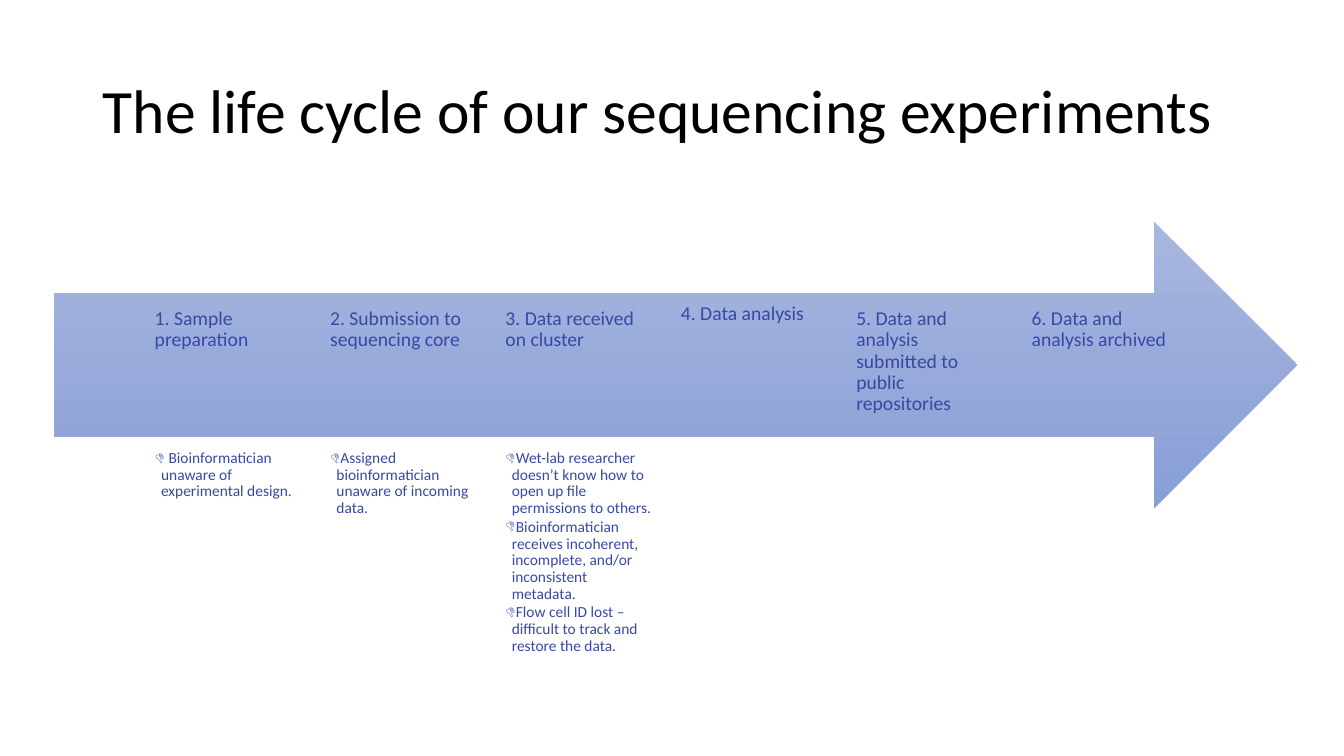
"""Build the slide on the life cycle of sequencing experiments."""
from dataclasses import dataclass

from lxml import etree
from pptx import Presentation, util as u
from pptx.dml import color
from pptx.enum import shapes, text
from pptx.oxml import ns


@dataclass(frozen=True)
class Theme:
    font: str = "Calibri"
    title_color: str = "000000"
    text_color: str = "3848A3"
    arrow_top: str = "A8B7DF"
    arrow_bottom: str = "889ED7"
    title_size: float = 44
    step_size: float = 14
    issue_size: float = 11
    line_spacing: float = 0.9
    step_leading: float = 15.2
    bullet: str = "👎"


class Deck:
    def __init__(self, slide, theme):
        self.slide, self.theme = slide, theme

    def textbox(self, box, paragraphs, size, rgb, insets=(0, 0), after=0,
                anchor=text.MSO_ANCHOR.TOP, bullets=False, leading=None):
        sp = self.slide.shapes.add_textbox(*map(u.Cm, box))
        tf = sp.text_frame
        tf.word_wrap = True
        tf.vertical_anchor = anchor
        tf.margin_left = tf.margin_right = u.Cm(insets[0])
        tf.margin_top = tf.margin_bottom = u.Cm(insets[1])
        for i, words in enumerate(paragraphs):
            p = tf.add_paragraph() if i else tf.paragraphs[0]
            p.line_spacing = u.Pt(leading) if leading else self.theme.line_spacing
            p.space_after = u.Pt(after)
            if bullets:
                self.bullet(p)
            r = p.add_run()
            r.text = words
            r.font.name = self.theme.font
            r.font.size = u.Pt(size)
            r.font.color.rgb = color.RGBColor.from_string(rgb)

    def bullet(self, p):
        p.level = 1
        pPr = p._p.get_or_add_pPr()
        indent = u.Cm(0.16)
        pPr.set("marL", str(indent))
        pPr.set("indent", str(-indent))
        etree.SubElement(pPr, ns.qn("a:buFont"), typeface=self.theme.font)
        etree.SubElement(pPr, ns.qn("a:buChar"), char=self.theme.bullet)

    def title(self, words):
        self.textbox((2.34, 1.02, 29.21, 3.68), [words], self.theme.title_size,
                     self.theme.title_color, insets=(0.25, 0.13),
                     anchor=text.MSO_ANCHOR.MIDDLE)

    def arrow(self, box):
        sp = self.slide.shapes.add_shape(shapes.MSO_SHAPE.RIGHT_ARROW, *map(u.Cm, box))
        sp.shadow.inherit = False
        sp.line.fill.background()
        sp.fill.gradient()
        sp.fill.gradient_angle = 270
        ends = (self.theme.arrow_top, self.theme.arrow_bottom)
        for i, (stop, rgb) in enumerate(zip(sp.fill.gradient_stops, ends)):
            stop.position = i
            stop.color.rgb = color.RGBColor.from_string(rgb)

    def step(self, left, name, issues):
        width, rgb = 3.68, self.theme.text_color
        self.textbox((left, 7.37, width, 3.61), [name], self.theme.step_size, rgb,
                     insets=(0, 0.4), after=5, leading=self.theme.step_leading)
        if issues:
            self.textbox((left, 11.35, width, 5.31), issues, self.theme.issue_size,
                         rgb, after=1.65, bullets=True)


STEPS = [
    ("1. Sample preparation", [" Bioinformatician unaware of experimental design."]),
    ("2. Submission to sequencing core",
     ["Assigned bioinformatician unaware of incoming data."]),
    ("3. Data received on cluster",
     ["Wet-lab researcher doesn’t know how to open up file permissions to others.",
      "Bioinformatician receives incoherent, incomplete, and/or inconsistent metadata.",
      "Flow cell ID lost – difficult to track and restore the data."]),
    ("4. Data analysis", []),
    ("5. Data and analysis submitted to public repositories", []),
    ("6. Data and analysis archived", []),
]
FIRST_LEFT, PITCH = 3.9, 4.42

prs = Presentation()
prs.slide_width, prs.slide_height = u.Cm(33.87), u.Cm(19.05)
deck = Deck(prs.slides.add_slide(prs.slide_layouts[6]), Theme())
deck.title("The life cycle of our sequencing experiments")
deck.arrow((1.37, 5.59, 31.32, 7.21))
for i, (name, issues) in enumerate(STEPS):
    deck.step(FIRST_LEFT + i * PITCH, name, issues)
prs.save("out.pptx")
